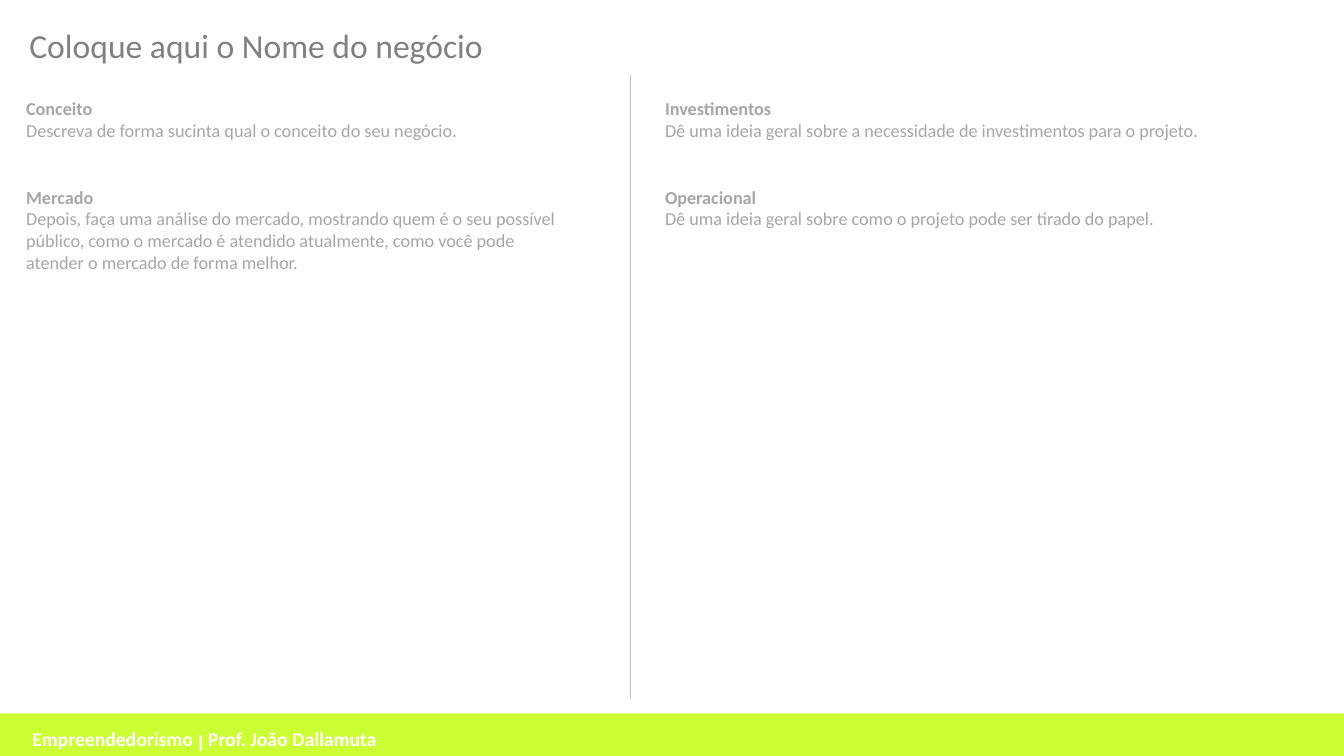
from lxml import etree
from pptx import Presentation
from pptx.dml.color import RGBColor
from pptx.enum import shapes, text
from pptx.oxml.ns import qn
from pptx.util import Cm, Pt

TITLE = "Coloque aqui o Nome do negócio"
FOOTER = "Empreendedorismo ꞁ Prof. João Dallamuta"

# left, width, height in cm, then (heading, description) pairs
COLUMNS = [
    (0.41, 14.17, 5.26, [
        ("Conceito", "Descreva de forma sucinta qual o conceito do seu negócio."),
        ("Mercado", "Depois, faça uma análise do mercado, mostrando quem é o seu "
                    "possível público, como o mercado é atendido atualmente, como "
                    "você pode atender o mercado de forma melhor."),
    ]),
    (16.51, 16.92, 3.58, [
        ("Investimentos", "Dê uma ideia geral sobre a necessidade de investimentos "
                          "para o projeto."),
        ("Operacional", "Dê uma ideia geral sobre como o projeto pode ser tirado "
                        "do papel."),
    ]),
]
COLUMN_TOP = 2.34
SECTION_GAP = Pt(31.7)  # two lines of 13 pt text
DIVIDER_X, DIVIDER_TOP, DIVIDER_BOTTOM = 15.88, 1.9, 17.58


def color(hex_code):
    return RGBColor.from_string(hex_code)


def add_box(page, left, top, width, height):
    box = page.shapes.add_textbox(Cm(left), Cm(top), Cm(width), Cm(height))
    box.text_frame.word_wrap = True
    return box.text_frame


def write(para, words, size, hex_code, bold=False):
    para.text = words
    font = para.font
    font.name, font.size, font.bold = "Calibri", Pt(size), bold
    font.color.rgb = color(hex_code)


def add_column(page, left, width, height, sections):
    frame = add_box(page, left, COLUMN_TOP, width, height)
    for number, (heading, description) in enumerate(sections):
        para = frame.add_paragraph() if number else frame.paragraphs[0]
        if number:
            para.space_before = SECTION_GAP
        write(para, heading, 13, "A6A6A6", bold=True)
        write(frame.add_paragraph(), description, 13, "A6A6A6")


def main():
    deck = Presentation()
    deck.slide_width, deck.slide_height = Cm(33.87), Cm(19.05)
    page = deck.slides.add_slide(deck.slide_layouts[6])

    band = page.shapes.add_shape(shapes.MSO_SHAPE.RECTANGLE,
                                 Cm(-0.08), Cm(17.98), Cm(33.99), Cm(1.19))
    band.shadow.inherit = False
    band.fill.solid()
    band.fill.fore_color.rgb = color("CCFF33")
    band.line.fill.background()

    title = add_box(page, 0.41, 0.36, 30.48, 1.55)
    title.margin_left = title.margin_right = Cm(0.33)
    title.margin_top = title.margin_bottom = Cm(0.18)
    title.vertical_anchor = text.MSO_ANCHOR.MIDDLE
    write(title.paragraphs[0], TITLE, 24, "808080")

    footer = add_box(page, 0.2, 18.19, 9.91, 0.86).paragraphs[0]
    write(footer, FOOTER, 14, "FFFFFF", bold=True)
    footer.alignment = text.PP_ALIGN.CENTER

    for column in COLUMNS:
        add_column(page, *column)

    divider = page.shapes.add_connector(
        shapes.MSO_CONNECTOR.STRAIGHT,
        Cm(DIVIDER_X), Cm(DIVIDER_TOP), Cm(DIVIDER_X), Cm(DIVIDER_BOTTOM))
    divider.line.color.rgb = color("BFBFBF")
    divider.line.width = Pt(0.75)
    etree.SubElement(divider._element.spPr, qn("a:effectLst"))

    deck.save("out.pptx")


if __name__ == "__main__":
    main()
